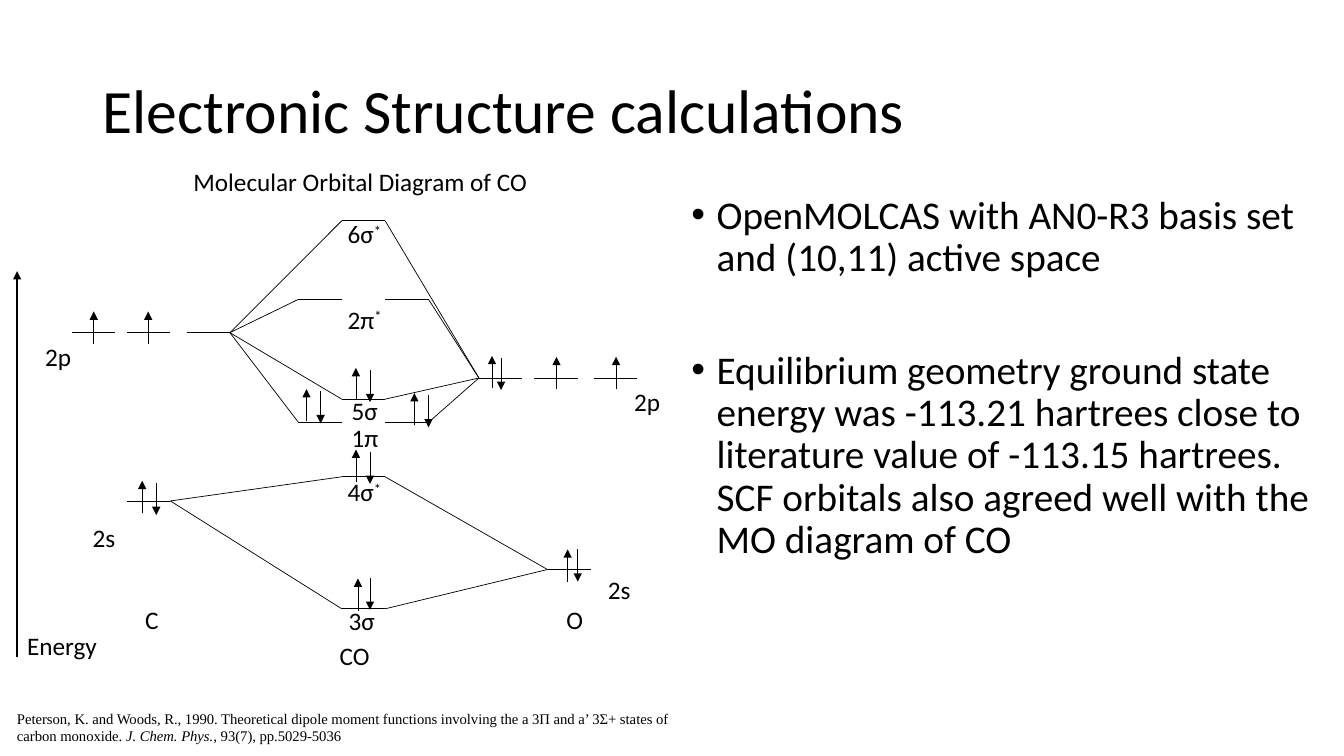
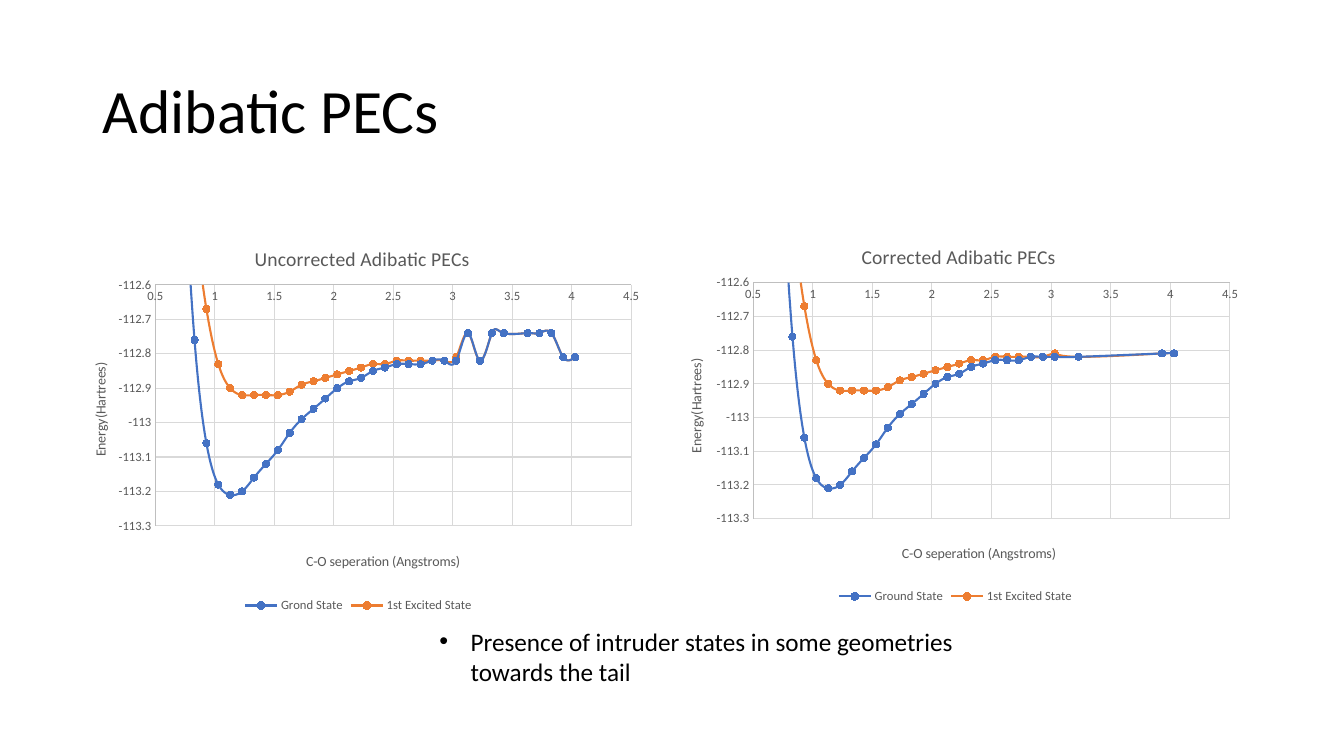
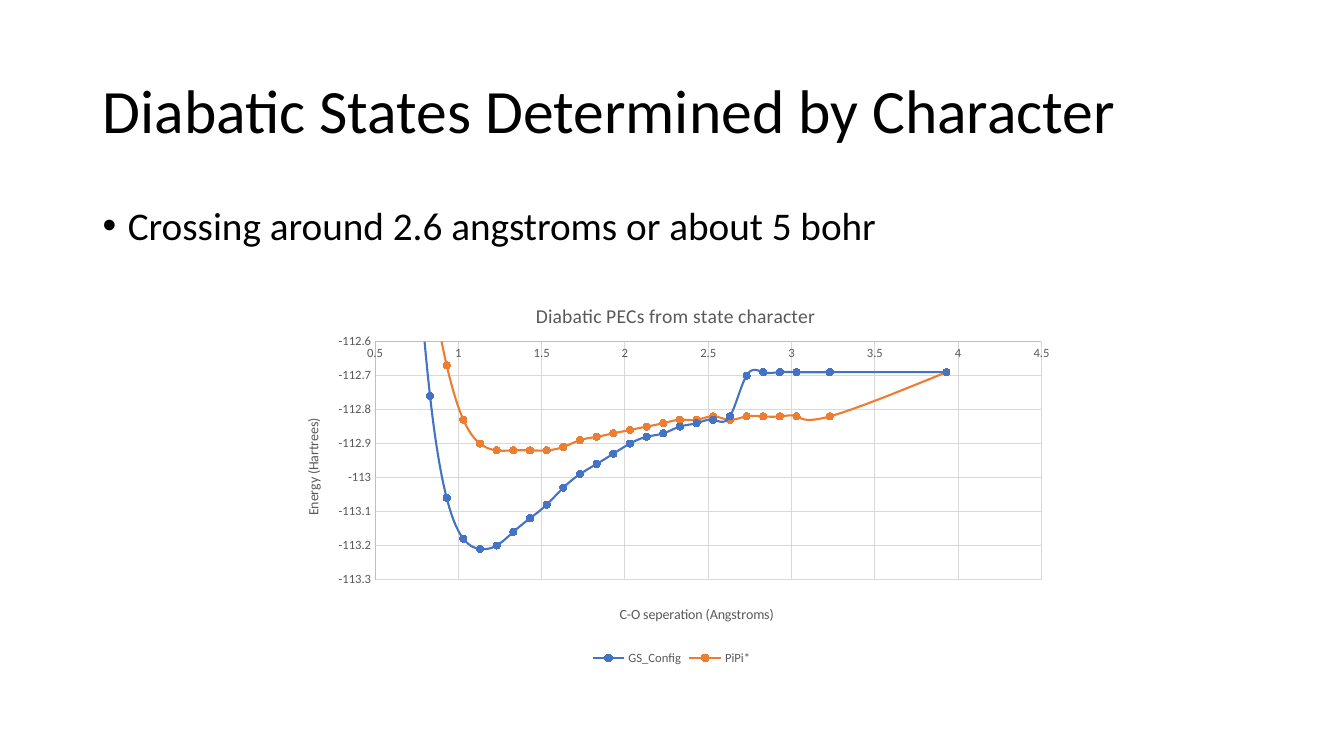
from dataclasses import dataclass

from lxml.etree import SubElement
from pptx import Presentation
from pptx.chart.data import XyChartData
from pptx.dml.color import RGBColor
from pptx.enum.chart import XL_CHART_TYPE as Kind
from pptx.enum.chart import XL_LEGEND_POSITION as Spot
from pptx.enum.chart import XL_MARKER_STYLE as Mark
from pptx.enum.chart import XL_TICK_MARK as Tick
from pptx.enum.shapes import MSO_CONNECTOR as Link
from pptx.enum.text import MSO_ANCHOR as Anchor
from pptx.oxml.ns import qn
from pptx.slide import Slide
from pptx.util import Inches, Pt

FONT = "Calibri"
SERIF = "Times New Roman"
HUES = {"ink": "000000", "gray": "595959", "axis": "BFBFBF", "grid": "D9D9D9",
        "blue": "4472C4", "gold": "ED7D31"}
SPAN = 0.43  # width of an energy level
RISE = 0.32  # length of a spin arrow


def hue(name: str) -> RGBColor:
    return RGBColor.from_string(HUES[name])


@dataclass
class Run:
    text: str
    size: float = 18
    font: str = FONT
    slant: bool = False
    base: int = 0


@dataclass
class Para:
    runs: list[Run]
    hang: float = 0
    before: float = 0
    lead: float = 1


@dataclass
class Label:
    x: float
    y: float
    wide: float
    text: str
    star: bool = False


@dataclass
class Spin:
    """One up arrow, with a down arrow beside it where gap is set."""
    x: float
    top: float
    gap: float = 0
    drop: float = 0.02


@dataclass
class Curve:
    name: str
    tint: str
    vals: list[float]


@dataclass
class Graph:
    """A chart; left, wide and the *_x fields are inches inside its frame."""
    box: tuple[float, float, float, float]
    title: str
    title_x: float
    sep_x: float
    unit: str
    unit_x: float
    left: float
    wide: float
    xs: list[float]
    curves: list[Curve]


def add_text(slide: Slide, box: tuple, paras: list[Para], anchor=Anchor.TOP) -> None:
    frame = slide.shapes.add_textbox(*map(Inches, box)).text_frame
    frame.word_wrap = True
    frame.vertical_anchor = anchor
    for i, item in enumerate(paras):
        para = frame.add_paragraph() if i else frame.paragraphs[0]
        if item.hang:
            props = para._p.get_or_add_pPr()
            props.set("marL", str(Inches(item.hang)))
            props.set("indent", str(-Inches(item.hang)))
            SubElement(props, qn("a:buFont")).set("typeface", "Arial")
            SubElement(props, qn("a:buChar")).set("char", "•")
        para.line_spacing = item.lead
        para.space_before = Pt(item.before)
        for part in item.runs:
            run = para.add_run()
            run.text = part.text
            run.font.size = Pt(part.size)
            run.font.name = part.font
            run.font.italic = part.slant
            run.font.color.rgb = hue("ink")
            if part.base:
                run._r.get_or_add_rPr().set("baseline", str(part.base * 1000))


def add_line(slide: Slide, start: tuple, end: tuple, width: float = 0.5,
             arrow: bool = False) -> None:
    line = slide.shapes.add_connector(Link.STRAIGHT, *map(Inches, start + end))
    line.line.color.rgb = hue("ink")
    line.line.width = Pt(width)
    props = line._element.spPr
    if arrow:
        SubElement(props.find(qn("a:ln")), qn("a:tailEnd")).set("type", "triangle")
    SubElement(props, qn("a:effectLst"))


def add_spin(slide: Slide, spin: Spin) -> None:
    low = spin.top + RISE
    add_line(slide, (spin.x, low), (spin.x, spin.top), arrow=True)
    if spin.gap:
        x, drop = spin.x + spin.gap, spin.drop
        add_line(slide, (x, spin.top + drop), (x, low + drop), arrow=True)


def place(part, at: int, **values: float) -> None:
    """Give a chart part a manual layout, as fractions of the chart."""
    for old in part.findall(qn("c:layout")):
        part.remove(old)
    layout = SubElement(part, qn("c:layout"))
    part.insert(at, layout)
    manual = SubElement(layout, qn("c:manualLayout"))
    if "w" in values:
        SubElement(manual, qn("c:layoutTarget")).set("val", "inner")
    for key in ("x", "y"):
        SubElement(manual, qn(f"c:{key}Mode")).set("val", "edge")
    for key, value in values.items():
        SubElement(manual, qn(f"c:{key}")).set("val", f"{value:.4f}")


def set_title(owner, text: str, size: float, x: float, y: float, turn: int = 0) -> None:
    """Title a chart or an axis."""
    title = owner.chart_title if hasattr(owner, "chart_title") else owner.axis_title
    frame = title.text_frame
    run = frame.paragraphs[0].add_run()
    run.text = text
    run.font.size = Pt(size)
    run.font.bold = False
    run.font.name = FONT
    run.font.color.rgb = hue("gray")
    body = next(title._element.iter(qn("a:bodyPr")))
    body.set("rot", str(turn * 60000))
    body.set("vert", "horz")
    place(title._element, 1, x=x, y=y)


def set_axis(axis, low: float, high: float, step: float) -> None:
    axis.minimum_scale, axis.maximum_scale, axis.major_unit = low, high, step
    axis.major_tick_mark = axis.minor_tick_mark = Tick.NONE
    axis.has_major_gridlines = True
    for form, tint in ((axis.format, "axis"), (axis.major_gridlines.format, "grid")):
        form.line.color.rgb = hue(tint)
        form.line.width = Pt(0.75)
    set_font(axis.tick_labels.font)


def set_font(font, size: float = 9, tint: str = "gray") -> None:
    font.size = Pt(size)
    font.name = FONT
    font.color.rgb = hue(tint)


def add_graph(slide: Slide, graph: Graph) -> None:
    data = XyChartData(number_format="General")
    for curve in graph.curves:
        row = data.add_series(curve.name)
        for x, y in zip(graph.xs, curve.vals, strict=True):
            row.add_data_point(x, y)
    chart = slide.shapes.add_chart(
        Kind.XY_SCATTER_SMOOTH, *map(Inches, graph.box), data).chart
    set_font(chart.font, 10, "ink")
    plot = chart.plots[0]
    plot.vary_by_categories = False
    for curve, row in zip(graph.curves, plot.series):
        row.format.line.color.rgb = hue(curve.tint)
        row.format.line.width = Pt(1.5)
        row.marker.style = Mark.CIRCLE
        row.marker.size = 5
        fill = row.marker.format.fill
        fill.solid()
        fill.fore_color.rgb = hue(curve.tint)
        row.marker.format.line.color.rgb = hue(curve.tint)
        row._element.find(qn("c:smooth")).set("val", "1")
    set_axis(chart.category_axis, 0.5, 4.5, 0.5)
    set_axis(chart.value_axis, -113.3, -112.6, 0.1)
    chart.has_legend = True
    chart.legend.position = Spot.BOTTOM
    chart.legend.include_in_layout = False
    set_font(chart.legend.font)
    full = graph.box[2]
    chart.has_title = True
    set_title(chart, graph.title, 14, graph.title_x / full, 0.05)
    set_title(chart.category_axis, "C-O seperation (Angstroms)", 10,
              graph.sep_x / full, 0.83)
    set_title(chart.value_axis, graph.unit, 10, graph.unit_x / full, 0.35, -90)
    area = next(chart._chartSpace.iter(qn("c:plotArea")))
    place(area, 0, x=graph.left / full, y=0.16, w=graph.wide / full, h=0.61)


def add_slide(deck, title: str) -> Slide:
    slide = deck.slides.add_slide(deck.slide_layouts[6])
    add_text(slide, (0.92, 0.4, 11.5, 1.45),
             [Para([Run(title, 44)], lead=0.9)], Anchor.MIDDLE)
    return slide


def point(text: str, before: float = 0) -> Para:
    return Para([Run(text, 28)], hang=0.25, before=before, lead=0.9)


LEVELS = {
    "C 2p a": (0.71, 3.3), "C 2p b": (1.26, 3.3), "C 2p": (1.85, 3.3),
    "C 2s": (1.26, 4.97), "O 2p": (4.75, 3.75), "O 2p b": (5.3, 3.75),
    "O 2p c": (5.89, 3.75), "O 2s": (5.43, 5.65),
    "3σ": (3.39, 6.04), "4σ": (3.39, 4.73), "5σ": (3.39, 3.96), "6σ": (3.39, 2.19),
    "1π a": (2.96, 4.19), "1π b": (3.82, 4.19),
    "2π a": (2.96, 2.97), "2π b": (3.82, 2.97),
}
# Each link runs from the right end of one level to the left end of another.
LINKS = [
    ("C 2p", "6σ"), ("C 2p", "2π a"), ("C 2p", "5σ"), ("C 2p", "1π a"),
    ("6σ", "O 2p"), ("2π b", "O 2p"), ("5σ", "O 2p"), ("1π b", "O 2p"),
    ("C 2s", "4σ"), ("C 2s", "3σ"), ("4σ", "O 2s"), ("3σ", "O 2s"),
]
SPINS = [
    Spin(0.93, 3.09), Spin(1.47, 3.09), Spin(5.52, 3.54), Spin(6.11, 3.54),
    Spin(1.41, 4.77, 0.14), Spin(5.63, 5.45, 0.1, 0), Spin(4.88, 3.53, 0.09),
    Spin(3.55, 5.74, 0.12, -0.01), Spin(3.53, 4.46, 0.14), Spin(3.04, 3.86, 0.14),
    Spin(4.11, 3.9, 0.14), Spin(3.53, 3.65, 0.14),
]
LABELS = [
    Label(0.17, 6.2, 1, "Energy"), Label(1.34, 5.95, 0.36, "C"),
    Label(5.52, 5.95, 0.43, "O"), Label(3.27, 6.3, 0.56, "CO"),
    Label(3.36, 5.96, 0.5, "3σ"), Label(3.35, 4.68, 0.58, "4σ", True),
    Label(3.39, 3.87, 0.52, "5σ"), Label(3.35, 2.12, 0.59, "6σ", True),
    Label(3.35, 2.97, 0.59, "2π", True), Label(3.39, 4.14, 0.54, "1π"),
    Label(6.19, 3.78, 0.59, "2p"), Label(0.35, 3.34, 0.59, "2p"),
    Label(0.82, 5.13, 0.59, "2s"), Label(5.93, 5.65, 0.59, "2s"),
    Label(1.82, 1.6, 3.67, "Molecular Orbital Diagram of CO"),
]

STEPS = [round(0.53 + 0.1 * i, 2) for i in range(26)]
GROUND = [-108.63, -110.94, -112.15, -112.76, -113.06, -113.18, -113.21, -113.2,
          -113.16, -113.12, -113.08, -113.03, -112.99, -112.96, -112.93, -112.9,
          -112.88, -112.87, -112.85, -112.84, -112.83]
EXCITED = [-108.29, -110.57, -111.76, -112.37, -112.67, -112.83, -112.9, -112.92,
           -112.92, -112.92, -112.92, -112.91, -112.89, -112.88, -112.87, -112.86,
           -112.85, -112.84, -112.83, -112.83, -112.82]
LOW = GROUND + [-112.83, -112.83] + [-112.82] * 3
HIGH = EXCITED + [-112.82] * 4 + [-112.81]
JUMPS = [-112.74, -112.82] + [-112.74] * 5 + [-112.81] * 2
FLAT = [-112.82, -112.81, -112.81]

RAW = Graph(
    (0.65, 2.2, 5.81, 3.92), "Uncorrected Adibatic PECs", 1.84, 2.36,
    "Energy(Hartrees)", 0.23, 0.89, 4.72,
    STEPS + [3.13, 3.23, 3.33, 3.43, 3.63, 3.73, 3.83, 3.93, 4.03],
    [Curve("Grond State", "blue", LOW + JUMPS),
     Curve("1st Excited State", "gold", HIGH + JUMPS)])
FIXED = Graph(
    (6.56, 2.19, 5.83, 3.84), "Corrected Adibatic PECs", 1.95, 2.36,
    "Energy(Hartrees)", 0.23, 0.91, 4.73, STEPS + [3.23, 3.93, 4.03],
    [Curve("Ground State", "blue", LOW + FLAT),
     Curve("1st Excited State", "gold", HIGH + FLAT)])
CROSS = Graph(
    (2.76, 2.77, 7.8, 3.87), "Diabatic PECs from state character", 2.52, 3.36,
    "Energy (Hartrees)", 0.23, 0.96, 6.61, STEPS + [3.23, 3.93],
    [Curve("GS_Config", "blue", GROUND + [-112.82, -112.7] + [-112.69] * 5),
     Curve("PiPi*", "gold", EXCITED + [-112.83] + [-112.82] * 5 + [-112.69])])


def draw_orbitals(deck) -> None:
    slide = add_slide(deck, "Electronic Structure calculations")
    add_text(slide, (6.76, 1.89, 6.42, 4.76), [
        point("OpenMOLCAS with AN0-R3 basis set and (10,11) active space"),
        point("Equilibrium geometry ground state energy was -113.21 hartrees close "
              "to literature value of -113.15 hartrees. SCF orbitals also agreed "
              "well with the MO diagram of CO", 50)])
    add_text(slide, (0.07, 6.99, 6.67, 0.47), [Para([
        Run("Peterson, K. and Woods, R., 1990. Theoretical dipole moment functions "
            "involving the a 3Π and a’ 3Σ+ states of carbon monoxide. ", 10.5, SERIF),
        Run("J. Chem. Phys.", 10.5, SERIF, True),
        Run(", 93(7), pp.5029-5036", 10.5, SERIF)])])
    for x, y in LEVELS.values():
        add_line(slide, (x, y), (x + SPAN, y))
    for start, end in LINKS:
        x, y = LEVELS[start]
        add_line(slide, (x + SPAN, y), LEVELS[end])
    add_line(slide, (0.17, 6.52), (0.17, 2.69), 1.5, True)
    for spin in SPINS:
        add_spin(slide, spin)
    for label in LABELS:
        runs = [Run(label.text)] + [Run("*", base=30)] * label.star
        add_text(slide, (label.x, label.y, label.wide, 0.4), [Para(runs)])


def draw_curves(deck) -> None:
    slide = add_slide(deck, "Adibatic PECs")
    for graph in (RAW, FIXED):
        add_graph(slide, graph)
    add_text(slide, (4.26, 6.16, 5.73, 0.71), [Para([Run(
        "Presence of intruder states in some geometries towards the tail")], hang=0.31)])


def draw_cross(deck) -> None:
    slide = add_slide(deck, "Diabatic States Determined by Character")
    add_text(slide, (0.92, 2, 11.5, 4.76),
             [point("Crossing around 2.6 angstroms or about 5 bohr")])
    add_graph(slide, CROSS)


def main() -> None:
    deck = Presentation()
    deck.slide_width, deck.slide_height = Inches(13.33), Inches(7.5)
    for draw in (draw_orbitals, draw_curves, draw_cross):
        draw(deck)
    deck.save("out.pptx")


if __name__ == "__main__":
    main()
